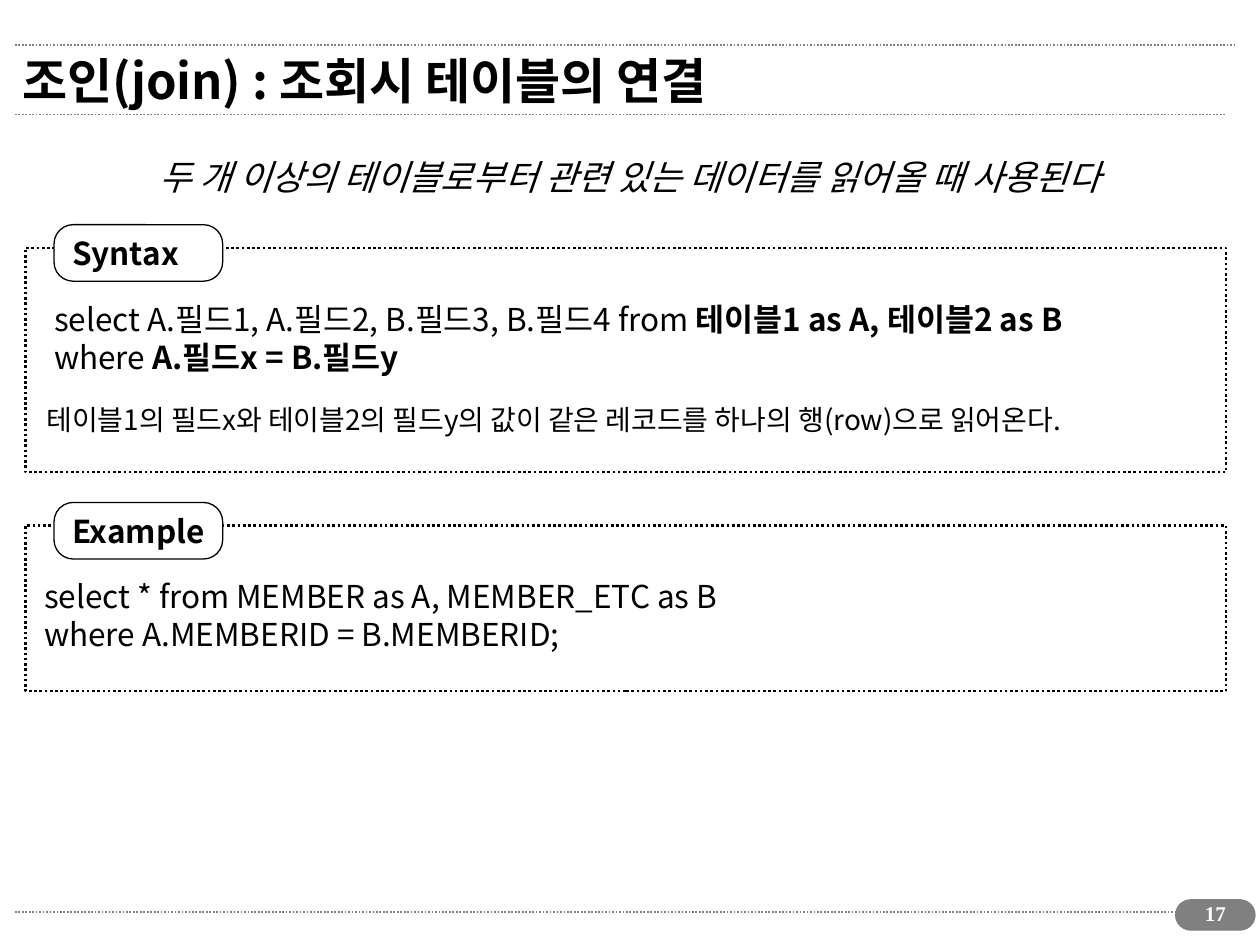
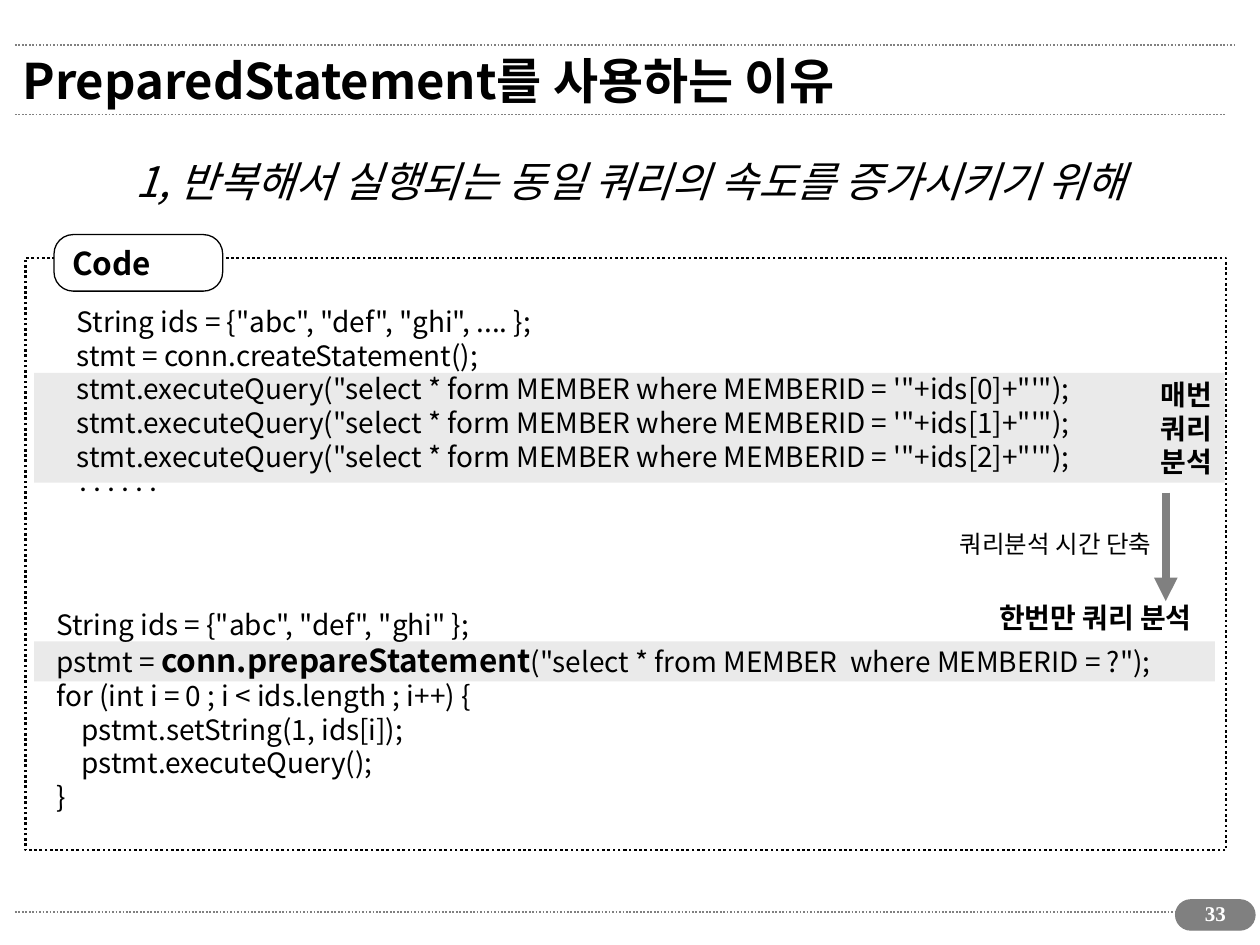
from dataclasses import dataclass
from typing import Optional

from lxml import etree
from pptx import Presentation
from pptx import util as u
from pptx.dml.color import RGBColor
from pptx.enum import dml, shapes, text
from pptx.oxml.ns import qn

SANS, SERIF = "Noto Sans CJK KR", "Times New Roman"
BLACK, GREY, PALE, WHITE = "000000", "808080", "EAEAEA", "FFFFFF"
LEFT, MID, RIGHT = text.PP_ALIGN.LEFT, text.PP_ALIGN.CENTER, text.PP_ALIGN.RIGHT
RECT = shapes.MSO_SHAPE.RECTANGLE
ROUND = shapes.MSO_SHAPE.ROUNDED_RECTANGLE
DOTS = dml.MSO_LINE.ROUND_DOT


@dataclass
class Box:
    x: float
    y: float
    w: float
    h: float

    def cm(self) -> tuple:
        return u.Cm(self.x), u.Cm(self.y), u.Cm(self.w), u.Cm(self.h)


@dataclass
class Style:
    size: int = 16
    bold: bool = False
    slant: bool = False
    align: int = LEFT
    color: str = BLACK
    font: str = SANS
    strong: int = 0


@dataclass
class Note:
    box: Box
    words: str
    style: Style
    wrap: bool = True


@dataclass
class Panel:
    name: str
    top: float
    high: float


@dataclass
class Rule:
    y: float
    end: float


RULES = [Rule(18.39, 24.71), Rule(2.31, 24.69), Rule(0.91, 24.89)]
HEAD = Style(28, bold=True)
TAG = Style(18, bold=True)
PAGE = Style(12, bold=True, align=MID, color=WHITE, font=SERIF)
SIDE = Style(16, bold=True, align=RIGHT)


def tint(code: str) -> RGBColor:
    return RGBColor.from_string(code)


def write(frame, words: str, style: Style, wrap: bool = True) -> None:
    frame.word_wrap = wrap
    frame.text = words
    for para in frame.paragraphs:
        parts = para.text.split("**")
        para.text = parts[0]
        for part in parts[1:]:
            para.add_run().text = part
        para.alignment = style.align
        for rank, run in enumerate(para.runs):
            loud = len(parts) > 1 and rank % 2 == 1
            font = run.font
            font.size = u.Pt(style.strong if loud and style.strong else style.size)
            font.bold = style.bold or loud
            font.italic = style.slant
            font.color.rgb = tint(style.color)
            font.name = style.font
            etree.SubElement(run._r.get_or_add_rPr(), qn("a:ea"), typeface=style.font)


def shape(slide, kind: int, box: Box, fill: Optional[str] = None,
          line: Optional[str] = None, width: float = 0.75, round: float = 0):
    item = slide.shapes.add_shape(kind, *box.cm())
    item.shadow.inherit = False
    if fill:
        item.fill.solid()
        item.fill.fore_color.rgb = tint(fill)
    else:
        item.fill.background()
    if line:
        item.line.color.rgb = tint(line)
        item.line.width = u.Pt(width)
    else:
        item.line.fill.background()
    if round:
        item.adjustments[0] = round
    return item


def stroke(slide, start: tuple, end: tuple, width: float):
    item = slide.shapes.add_connector(
        shapes.MSO_CONNECTOR.STRAIGHT, *map(u.Cm, start + end))
    item.line.color.rgb = tint(GREY)
    item.line.width = u.Pt(width)
    etree.SubElement(item._element.spPr, qn("a:effectLst"))
    return item


def arrow(slide, x: float, top: float, end: float) -> None:
    item = stroke(slide, (x, top), (x, end), 4.5)
    etree.SubElement(item.line._get_or_add_ln(), qn("a:tailEnd"), type="triangle")


def note(slide, item: Note) -> None:
    frame = slide.shapes.add_textbox(*item.box.cm()).text_frame
    write(frame, item.words, item.style, item.wrap)
    frame.auto_size = text.MSO_AUTO_SIZE.SHAPE_TO_FIT_TEXT


def panel(slide, item: Panel) -> None:
    edge = shape(slide, RECT, Box(0.51, item.top, 24.21, item.high),
                 line=BLACK, width=1.5)
    edge.line.dash_style = DOTS
    tag = shape(slide, ROUND, Box(1.09, item.top - 0.47, 3.4, 1.14),
                WHITE, BLACK, round=0.34)
    tag.text_frame.vertical_anchor = text.MSO_ANCHOR.MIDDLE
    write(tag.text_frame, item.name, TAG, False)


def start(deck, title: str, lead: str, size: int, page: int):
    slide = deck.slides.add_slide(deck.slide_layouts[5])
    for rule in RULES:
        stroke(slide, (0.3, rule.y), (rule.end, rule.y), 1).line.dash_style = DOTS
    shape(slide, ROUND, Box(23.7, 18.14, 1.6, 0.61), GREY, GREY, round=0.5)
    head = slide.shapes.title
    head.left, head.top, head.width, head.height = Box(0.2, 0.71, 23.11, 1.8).cm()
    head.text_frame.vertical_anchor = text.MSO_ANCHOR.MIDDLE
    head.text_frame.auto_size = text.MSO_AUTO_SIZE.NONE
    write(head.text_frame, title, HEAD)
    note(slide, Note(Box(0, 3.02, 25.4, 1.2), lead,
                     Style(size, slant=True, align=MID)))
    num = slide.shapes.add_textbox(*Box(23.8, 18.03, 1.4, 0.86).cm())
    write(num.text_frame, str(page), PAGE)
    return slide


def join(deck) -> None:
    slide = start(deck, "조인(join) : 조회시 테이블의 연결",
                  "두 개 이상의 테이블로부터 관련 있는 데이터를 읽어올 때 사용된다", 20, 17)
    for item in (Panel("Syntax", 5, 4.52), Panel("Example", 10.6, 3.33)):
        panel(slide, item)
    for item in (
        Note(Box(0.84, 5.92, 23.47, 1.78),
             "select A.필드1, A.필드2, B.필드3, B.필드4 from **테이블1 as A, 테이블2 as B\n"
             "where **A.필드x = B.필드y", Style(18)),
        Note(Box(0.69, 8, 24.21, 0.94),
             "테이블1의 필드x와 테이블2의 필드y의 값이 같은 레코드를 하나의 행(row)으로 읽어온다.",
             Style()),
        Note(Box(0.64, 11.51, 21.67, 1.78),
             "select * from MEMBER as A, MEMBER_ETC as B\n"
             "where A.MEMBERID = B.MEMBERID;", Style(18)),
    ):
        note(slide, item)


def reason(deck) -> None:
    slide = start(deck, "PreparedStatement를 사용하는 이유",
                  "1, 반복해서 실행되는 동일 쿼리의 속도를 증가시키기 위해", 24, 33)
    shape(slide, RECT, Box(0.69, 12.93, 23.8, 0.81), PALE)
    band = shape(slide, RECT, Box(0.69, 7.52, 24, 2.21), PALE)
    band.text_frame.vertical_anchor = text.MSO_ANCHOR.MIDDLE
    write(band.text_frame, "매번\n쿼리\n분석", SIDE, False)
    panel(slide, Panel("Code", 5.2, 11.94))
    calls = [
        "stmt.executeQuery(\"select * form MEMBER where MEMBERID = "
        f"'\"+ids[{i}]+\"'\");" for i in range(3)]
    slow = ['String ids = {"abc", "def", "ghi", .... };',
            "stmt = conn.createStatement();", *calls, "‥‥‥"]
    fast = ['String ids = {"abc", "def", "ghi" };',
            'pstmt = **conn.prepareStatement**'
            '("select * from MEMBER  where MEMBERID = ?");',
            "for (int i = 0 ; i < ids.length ; i++) {",
            "    pstmt.setString(1, ids[i]);",
            "    pstmt.executeQuery();",
            "}"]
    for item in (
        Note(Box(1.3, 6.02, 20.78, 4.32), "\n".join(slow), Style(), False),
        Note(Box(0.89, 12.12, 23.06, 4.42), "\n".join(fast),
             Style(strong=18), False),
        Note(Box(19.89, 11.99, 4.45, 0.94), "한번만 쿼리 분석",
             Style(bold=True), False),
        Note(Box(19.1, 10.54, 4.42, 0.86), "쿼리분석 시간 단축", Style(14), False),
    ):
        note(slide, item)
    arrow(slide, 23.5, 9.93, 12.12)


def main() -> None:
    deck = Presentation()
    deck.slide_width, deck.slide_height = u.Cm(25.4), u.Cm(19.05)
    join(deck)
    reason(deck)
    deck.save("out.pptx")


if __name__ == "__main__":
    main()
